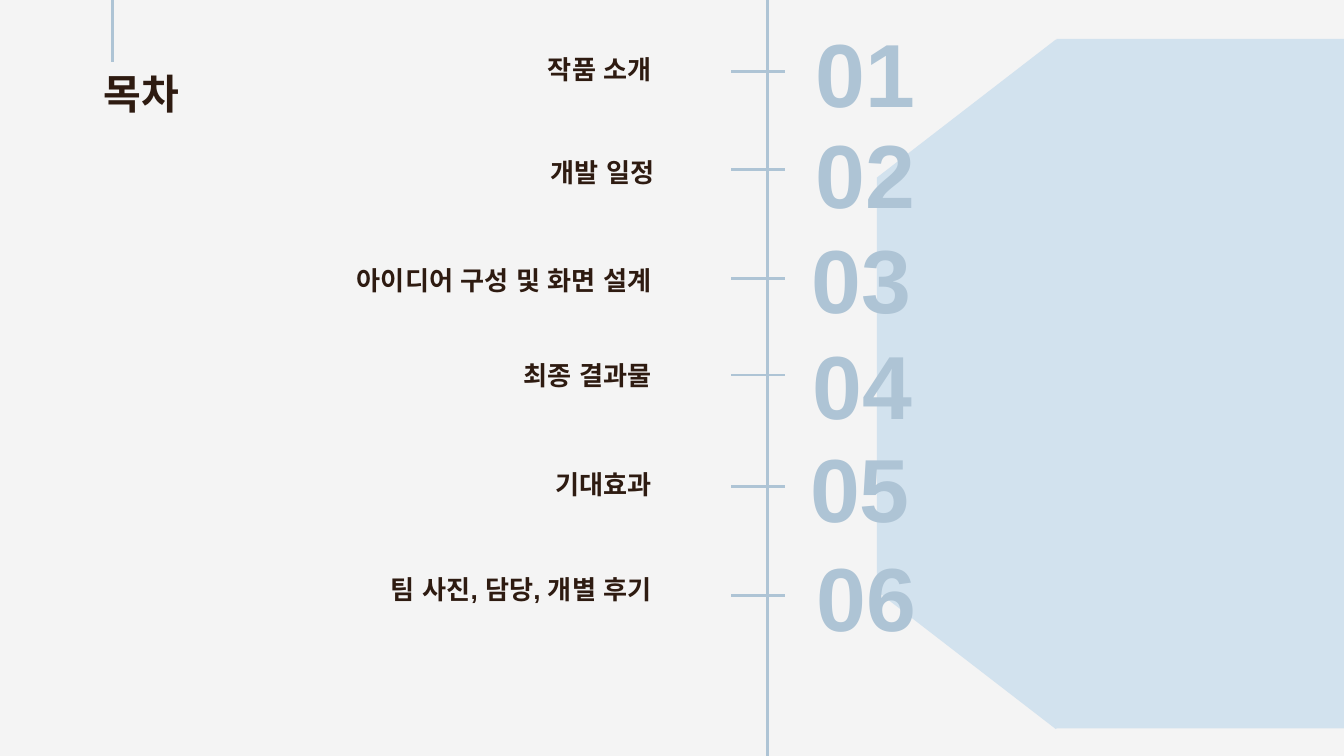
from dataclasses import dataclass

from lxml.etree import SubElement
from pptx import Presentation
from pptx.dml.color import RGBColor
from pptx.enum.shapes import MSO_CONNECTOR, MSO_SHAPE
from pptx.enum.text import MSO_ANCHOR, MSO_AUTO_SIZE, PP_ALIGN
from pptx.oxml.ns import qn
from pptx.util import Inches, Pt


@dataclass(frozen=True)
class Theme:
    font: str = "Arial"
    background: RGBColor = RGBColor(0xF4, 0xF4, 0xF4)
    panel: RGBColor = RGBColor(0xD2, 0xE2, 0xEE)
    accent: RGBColor = RGBColor(0xAE, 0xC4, 0xD5)
    ink: RGBColor = RGBColor(0x2E, 0x1B, 0x11)
    title_size: int = 22
    label_size: int = 14
    number_size: int = 48
    line_width: float = 1.5
    inset: float = 0.1


@dataclass(frozen=True)
class Entry:
    """One line of the contents: label, its right edge and the row positions."""
    label: str
    label_right: float
    label_top: float
    number_left: float
    number_top: float
    tick_y: float


THEME = Theme()
SLIDE_WIDTH = 10
SLIDE_HEIGHT = SLIDE_WIDTH * 9 / 16
LABEL_WIDTH, NUMBER_WIDTH, ROW_HEIGHT = 2.46, 1.27, 0.63
TICK_LEFT, TICK_RIGHT, AXIS_X = 5.44, 5.84, 5.71

ENTRIES = [
    Entry("작품 소개", 4.95, 0.10, 5.97, 0.22, 0.53),
    Entry("개발 일정", 4.97, 0.87, 5.97, 0.97, 1.26),
    Entry("아이디어 구성 및 화면 설계", 4.95, 1.67, 5.94, 1.75, 2.07),
    Entry("최종 결과물", 4.95, 2.38, 5.95, 2.54, 2.79),
    Entry("기대효과", 4.95, 3.19, 5.93, 3.31, 3.62),
    Entry("팀 사진, 담당, 개별 후기", 4.95, 3.97, 5.98, 4.12, 4.43),
]


def add_panel(page, kind: MSO_SHAPE, left: float, top: float,
              width: float, height: float, rotation: float = 0) -> None:
    shape = page.shapes.add_shape(
        kind, Inches(left), Inches(top), Inches(width), Inches(height))
    shape.rotation = rotation
    shape.shadow.inherit = False
    shape.fill.solid()
    shape.fill.fore_color.rgb = THEME.panel
    shape.line.fill.background()


def add_line(page, x1: float, y1: float, x2: float, y2: float) -> None:
    line = page.shapes.add_connector(
        MSO_CONNECTOR.STRAIGHT, Inches(x1), Inches(y1), Inches(x2), Inches(y2))
    line.line.color.rgb = THEME.accent
    line.line.width = Pt(THEME.line_width)
    SubElement(line._element.spPr, qn("a:effectLst"))


def write(box, text: str, size: int, color: RGBColor,
          align: PP_ALIGN, anchor: MSO_ANCHOR) -> None:
    frame = box.text_frame
    frame.word_wrap = True
    frame.auto_size = MSO_AUTO_SIZE.NONE
    frame.vertical_anchor = anchor
    frame.margin_left = frame.margin_right = Inches(THEME.inset)
    frame.margin_top = frame.margin_bottom = Inches(THEME.inset)
    para = frame.paragraphs[0]
    para.text = text
    para.alignment = align
    para.font.name = THEME.font
    para.font.size = Pt(size)
    para.font.bold = True
    para.font.color.rgb = color
    # Hangul text takes the East Asian font
    properties = para._p.pPr.find(qn("a:defRPr"))
    SubElement(properties, qn("a:ea"), typeface=THEME.font)


def add_entry(page, number: int, entry: Entry) -> None:
    label = page.shapes.add_textbox(
        Inches(entry.label_right - LABEL_WIDTH), Inches(entry.label_top),
        Inches(LABEL_WIDTH), Inches(ROW_HEIGHT))
    write(label, entry.label, THEME.label_size, THEME.ink,
          PP_ALIGN.RIGHT, MSO_ANCHOR.BOTTOM)
    digits = page.shapes.add_textbox(
        Inches(entry.number_left), Inches(entry.number_top),
        Inches(NUMBER_WIDTH), Inches(ROW_HEIGHT))
    write(digits, f"{number:02d}", THEME.number_size, THEME.accent,
          PP_ALIGN.LEFT, MSO_ANCHOR.MIDDLE)
    add_line(page, TICK_RIGHT, entry.tick_y, TICK_LEFT, entry.tick_y)


def main() -> None:
    deck = Presentation()
    deck.slide_width, deck.slide_height = Inches(SLIDE_WIDTH), Inches(SLIDE_HEIGHT)
    page = deck.slides.add_slide(deck.slide_layouts[5])
    page.background.fill.solid()
    page.background.fill.fore_color.rgb = THEME.background

    # Cut-corner panel on the right
    add_panel(page, MSO_SHAPE.FLOWCHART_PREPARATION, 5.29, 1.53, 5.13, 2.66, 90)
    add_panel(page, MSO_SHAPE.RECTANGLE, 7.86, 0.29, 2.33, 5.13)

    # Title with the line hanging above it
    title = page.shapes.title
    title.left, title.top = Inches(0.67), Inches(0.41)
    title.width, title.height = Inches(2.8), Inches(1.03)
    write(title, "목차", THEME.title_size, THEME.ink,
          PP_ALIGN.LEFT, MSO_ANCHOR.TOP)
    add_line(page, 0.84, -0.03, 0.84, 0.46)

    # Vertical axis and contents
    add_line(page, AXIS_X, -0.05, AXIS_X, 5.7)
    for number, entry in enumerate(ENTRIES, start=1):
        add_entry(page, number, entry)

    deck.save("out.pptx")


if __name__ == "__main__":
    main()
